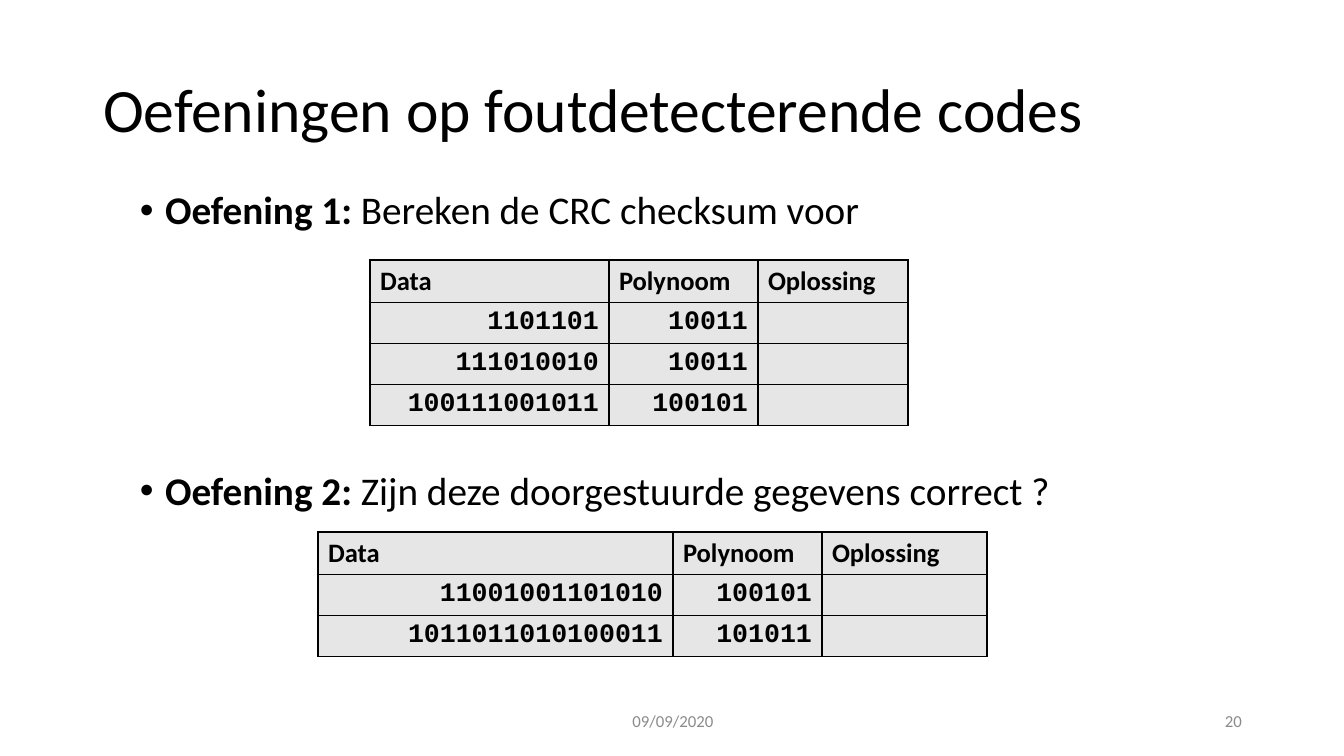
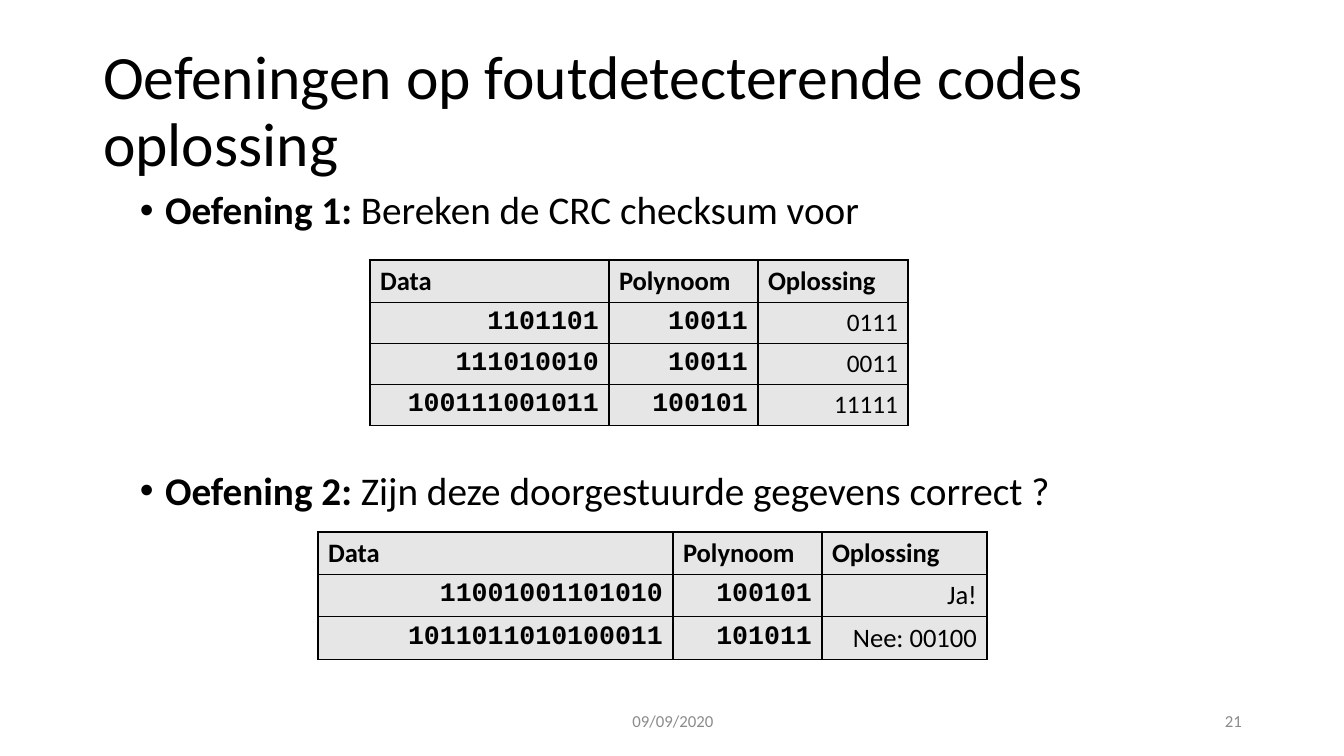
"""Build two slides with CRC exercises and their answers."""
import pptx
import pptx.util
import pptx.dml.color
import pptx.enum.text
import pptx.oxml
import pptx.oxml.ns
import lxml.etree

Pt = pptx.util.Pt
RGB = pptx.dml.color.RGBColor.from_string
ALIGN = pptx.enum.text.PP_ALIGN
MID = pptx.enum.text.MSO_ANCHOR.MIDDLE
TOP = pptx.enum.text.MSO_ANCHOR.TOP
FIXED = pptx.enum.text.MSO_AUTO_SIZE.NONE
qn = pptx.oxml.ns.qn
SCALE = 914400 / 100.8

THEME = {
    "ink": "000000", "cell": "E7E6E6", "rule": Pt(0.96),
    "title": {"size": Pt(44), "name": "Calibri", "bold": False},
    "lead": {"size": Pt(28), "name": "Calibri", "bold": True},
    "body": {"size": Pt(28), "name": "Calibri", "bold": False},
    "head": {"size": Pt(19), "name": "Calibri", "bold": True},
    "bits": {"size": Pt(19), "name": "Courier New", "bold": True},
    "small": {"size": Pt(18), "name": "Calibri", "bold": False},
    "large": {"size": Pt(19), "name": "Calibri", "bold": False},
    "foot": {"size": Pt(12), "name": "Calibri", "bold": False},
}
COLORS = {"foot": "8B8B8B"}


def place(shape, box, anchor):
    """Put a text shape in its box and set up its frame."""
    for key, val in zip(("left", "top", "width", "height"), box):
        setattr(shape, key, round(val * SCALE))
    frame = shape.text_frame
    form = {"word_wrap": True, "auto_size": FIXED, "vertical_anchor": anchor}
    for key, val in form.items():
        setattr(frame, key, val)
    return frame


def write(para, runs, **form):
    """Add runs of text, each in a role of the theme, to a paragraph."""
    for key, val in form.items():
        setattr(para, key, val)
    for text, role in runs:
        run = para.add_run()
        run.text = text
        for key, val in THEME[role].items():
            setattr(run.font, key, val)
        run.font.color.rgb = RGB(COLORS.get(role, THEME["ink"]))


HEADS = ("Data", "Polynoom", "Oplossing")
TASKS = (
    (("Oefening 1:", " Bereken de CRC checksum voor"), Pt(10)),
    (("Oefening 2: ", "Zijn deze doorgestuurde gegevens correct ?"), Pt(170)),
)
GRIDS = (
    {"at": (370, 260), "cols": (239, 149, 150), "role": "small",
     "rows": (("1101101", "10011"), ("111010010", "10011"),
              ("100111001011", "100101"))},
    {"at": (318, 532), "cols": (355, 149, 165), "role": "large",
     "rows": (("11001001101010", "100101"),
              ("1011011010100011", "101011"))},
)
ROW = 41
NAME = "Oefeningen op foutdetecterende codes"
PAGES = (
    (NAME, "20", (("", "", ""), ("", ""))),
    (NAME + " oplossing", "21",
     (("0111", "0011", "11111"), ("Ja!", "Nee: 00100"))),
)

deck = pptx.Presentation()
deck.slide_width, deck.slide_height = round(1344 * SCALE), round(756 * SCALE)
plain = deck.slide_layouts.get_by_name("Title Only")

for title, page, keys in PAGES:
    slide = deck.slides.add_slide(plain)
    shapes = slide.shapes
    frame = place(shapes.title, (93, 40, 1159, 146), MID)
    write(frame.paragraphs[0], [(title, "title")],
          alignment=ALIGN.LEFT, line_spacing=0.9)

    frame = place(shapes.add_textbox(0, 0, 0, 0), (130, 186, 1160, 482), TOP)
    for num, ((lead, text), gap) in enumerate(TASKS):
        para = frame.add_paragraph() if num else frame.paragraphs[0]
        write(para, [(lead, "lead"), (text, "body")],
              line_spacing=0.9, space_before=gap)
        props = para._p.get_or_add_pPr()
        props.set("marL", "228600")
        props.set("indent", "-228600")
        lxml.etree.SubElement(props, qn("a:buFont"), typeface="Arial")
        lxml.etree.SubElement(props, qn("a:buChar"), char="•")

    for grid, answers in zip(GRIDS, keys):
        rows = [HEADS] + [(*row, key) for row, key in zip(grid["rows"], answers)]
        size = (*grid["at"], sum(grid["cols"]), ROW * len(rows))
        table = shapes.add_table(len(rows), len(HEADS),
                                 *(round(val * SCALE) for val in size)).table
        for col, width in zip(table.columns, grid["cols"]):
            col.width = round(width * SCALE)
        for y, row in enumerate(rows):
            table.rows[y].height = round(ROW * SCALE)
            for x, text in enumerate(row):
                cell = table.cell(y, x)
                props = cell._tc.get_or_add_tcPr()
                for side in ("lnL", "lnR", "lnT", "lnB"):
                    line = lxml.etree.SubElement(
                        props, qn("a:" + side), w=str(THEME["rule"]))
                    fill = lxml.etree.SubElement(line, qn("a:solidFill"))
                    lxml.etree.SubElement(fill, qn("a:srgbClr"), val=THEME["ink"])
                cell.fill.solid()
                cell.fill.fore_color.rgb = RGB(THEME["cell"])
                role = "head" if y == 0 else ("bits", "bits", grid["role"])[x]
                if text:
                    write(cell.text_frame.paragraphs[0], [(text, role)],
                          alignment=ALIGN.RIGHT if y else ALIGN.LEFT)

    for text, box, side in ((page, (950, 701, 302, 40), ALIGN.RIGHT),
                            ("09/09/2020", (446, 701, 454, 40), ALIGN.CENTER)):
        frame = place(shapes.add_textbox(0, 0, 0, 0), box, MID)
        write(frame.paragraphs[0], [(text, "foot")], alignment=side)

deck.save("out.pptx")
